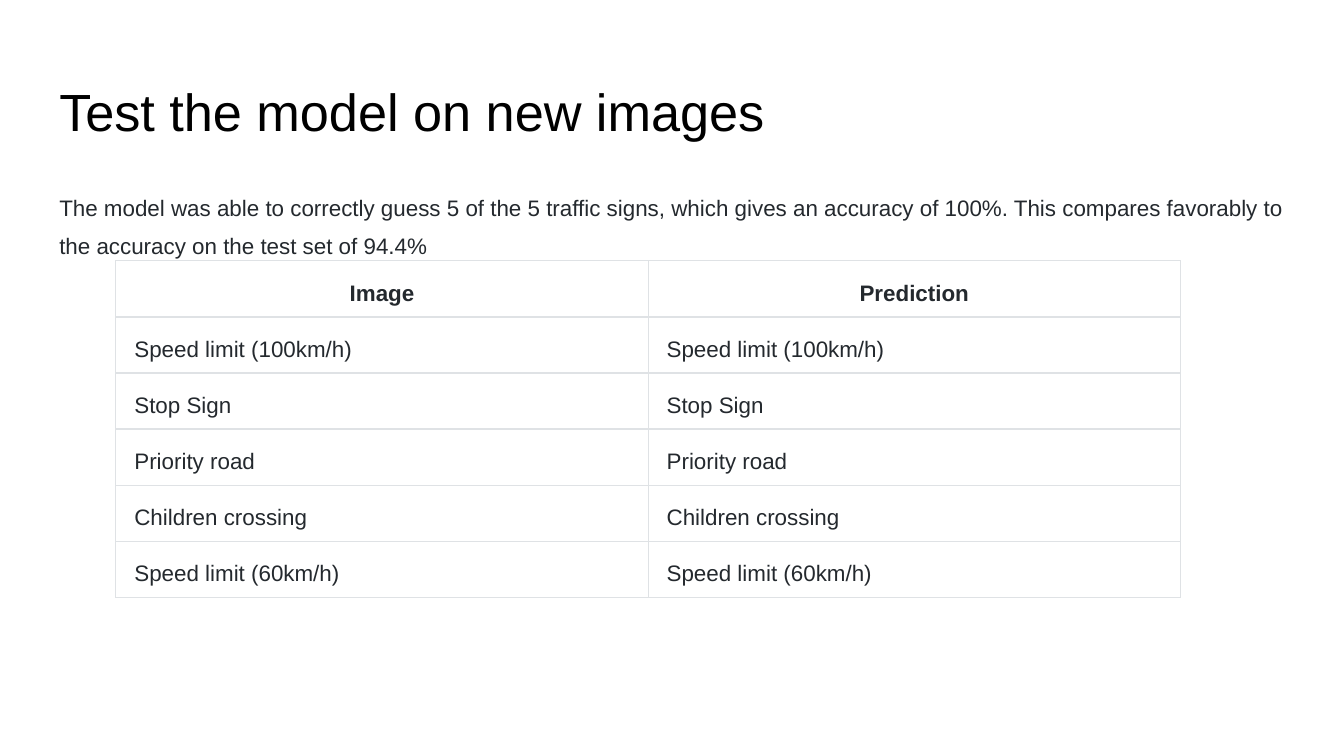
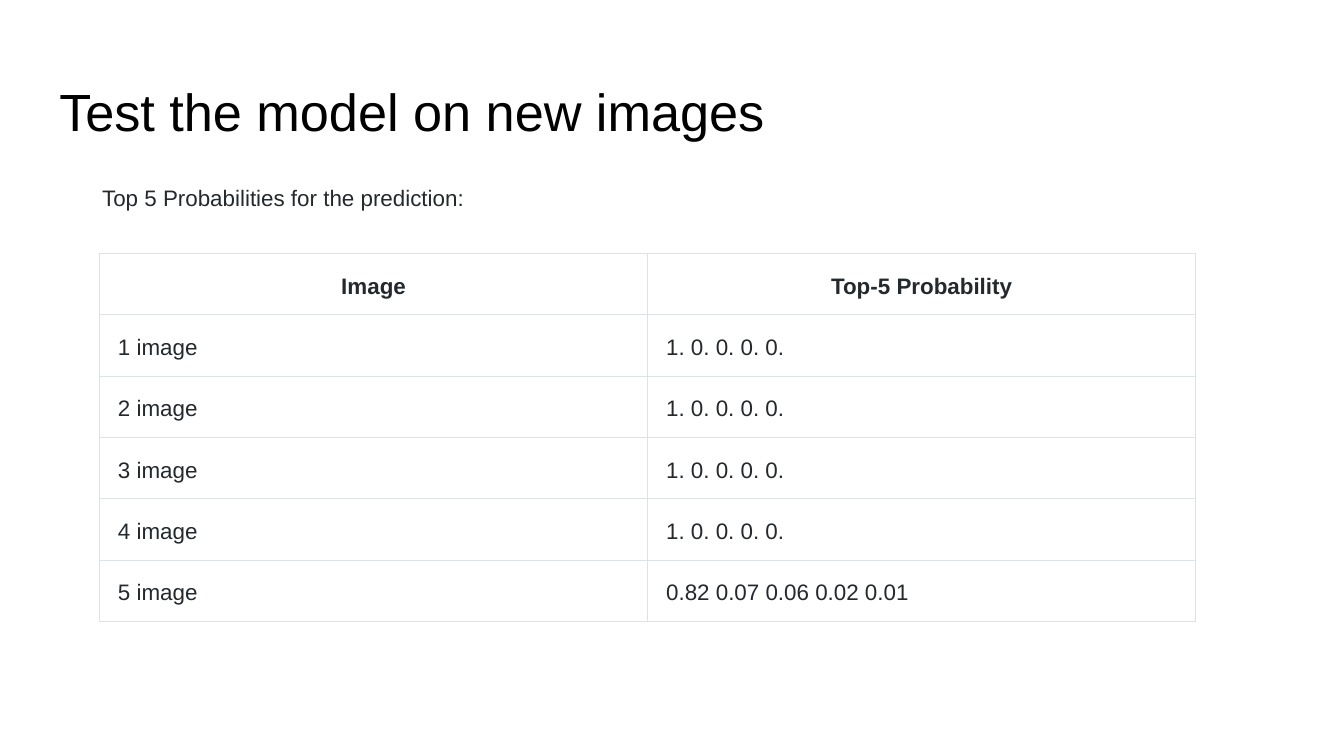
from dataclasses import dataclass

from lxml.etree import SubElement
from pptx import Presentation
from pptx.dml.color import RGBColor
from pptx.enum.text import MSO_ANCHOR as Anchor, MSO_AUTO_SIZE as AutoSize, PP_ALIGN as Align
from pptx.oxml.ns import qn
from pptx.util import Cm, Pt


@dataclass(frozen=True)
class Theme:
    font: str = "Arial"
    background: str = "FFFFFF"
    title_color: str = "000000"
    text_color: str = "24292E"
    border_color: str = "DFE2E5"
    title_size: float = 28
    text_size: float = 12
    border_width: float = 0.75
    line_spacing: float = 1.43
    space_after: float = 12
    text_inset: float = 0.25
    cell_inset_x: float = 0.35
    cell_inset_y: float = 0.18


THEME = Theme()
SLIDE_SIZE = (25.4, 14.29)
TITLE_BOX = (0.87, 1.24, 23.67, 1.59)
TITLE = "Test the model on new images"

SIGNS = [
    "Speed limit (100km/h)",
    "Stop Sign",
    "Priority road",
    "Children crossing",
    "Speed limit (60km/h)",
]
PROBABILITIES = ["1. 0. 0. 0. 0."] * 4 + ["0.82 0.07 0.06 0.02 0.01"]

SLIDES = [
    {
        "intro": "The model was able to correctly guess 5 of the 5 traffic signs, "
                 "which gives an accuracy of 100%. This compares favorably to the "
                 "accuracy on the test set of 94.4%",
        "intro_box": (0.87, 3.2, 23.67, 1.2),
        "intro_spacing": (1.43, 0, 0),
        "header": ("Image", "Prediction"),
        "rows": [(sign, sign) for sign in SIGNS],
        "table_corner": (2.19, 4.93),
        "column_width": 10.06,
        "row_height": 1.06,
    },
    {
        "intro": "Top 5 Probabilities for the prediction:",
        "intro_box": (1.68, 3.1, 17, 1.36),
        "intro_spacing": (1.25, 18, 12),
        "header": ("Image", "Top-5 Probability"),
        "rows": [(f"{number} image", values)
                 for number, values in enumerate(PROBABILITIES, 1)],
        "table_corner": (1.88, 4.79),
        "column_width": 10.36,
        "row_height": 1.16,
    },
]


def write(frame, text, size, color, spacing, align=Align.LEFT, bold=False):
    frame.text = text
    paragraph = frame.paragraphs[0]
    paragraph.alignment = align
    line, before, after = spacing
    paragraph.line_spacing = line
    paragraph.space_before = Pt(before)
    paragraph.space_after = Pt(after)
    for run in paragraph.runs:
        run.font.name = THEME.font
        run.font.size = Pt(size)
        run.font.bold = bold
        run.font.color.rgb = RGBColor.from_string(color)
    return paragraph


def fill_placeholder(placeholder, box, text, size, color, spacing):
    placeholder.left, placeholder.top, placeholder.width, placeholder.height = map(Cm, box)
    frame = placeholder.text_frame
    frame.word_wrap = True
    frame.auto_size = AutoSize.NONE
    frame.vertical_anchor = Anchor.TOP
    frame.margin_left = frame.margin_right = Cm(THEME.text_inset)
    frame.margin_top = frame.margin_bottom = Cm(THEME.text_inset)
    return write(frame, text, size, color, spacing)


def remove_bullet(paragraph):
    properties = paragraph._p.get_or_add_pPr()
    properties.set("marL", "0")
    properties.set("indent", "0")
    SubElement(properties, qn("a:buNone"))


def add_borders(cell):
    properties = cell._tc.get_or_add_tcPr()
    for side in ("a:lnL", "a:lnR", "a:lnT", "a:lnB"):
        line = SubElement(properties, qn(side), w=str(Pt(THEME.border_width)))
        solid = SubElement(line, qn("a:solidFill"))
        SubElement(solid, qn("a:srgbClr"), val=THEME.border_color)


def format_cell(cell, text, is_header):
    cell.margin_left = cell.margin_right = Cm(THEME.cell_inset_x)
    cell.margin_top = cell.margin_bottom = Cm(THEME.cell_inset_y)
    cell.vertical_anchor = Anchor.TOP
    write(cell.text_frame, text, THEME.text_size, THEME.text_color,
          (THEME.line_spacing, 0, THEME.space_after),
          Align.CENTER if is_header else Align.LEFT, is_header)
    add_borders(cell)
    cell.fill.background()


def add_results(slide, content):
    records = [content["header"], *content["rows"]]
    column_count = len(content["header"])
    left, top = map(Cm, content["table_corner"])
    column_width, row_height = Cm(content["column_width"]), Cm(content["row_height"])
    results = slide.shapes.add_table(
        len(records), column_count, left, top,
        column_width * column_count, row_height * len(records)).table
    results.first_row = results.horz_banding = False
    for column in results.columns:
        column.width = column_width
    for row_index, record in enumerate(records):
        results.rows[row_index].height = row_height
        for column_index, text in enumerate(record):
            format_cell(results.cell(row_index, column_index), text, row_index == 0)


def add_slide(deck, content):
    slide = deck.slides.add_slide(deck.slide_layouts[1])
    slide.background.fill.solid()
    slide.background.fill.fore_color.rgb = RGBColor.from_string(THEME.background)
    fill_placeholder(slide.shapes.title, TITLE_BOX, TITLE,
                     THEME.title_size, THEME.title_color, (1.0, 0, 0))
    intro = fill_placeholder(slide.placeholders[1], content["intro_box"], content["intro"],
                             THEME.text_size, THEME.text_color, content["intro_spacing"])
    remove_bullet(intro)
    add_results(slide, content)


def main():
    deck = Presentation()
    deck.slide_width, deck.slide_height = map(Cm, SLIDE_SIZE)
    for content in SLIDES:
        add_slide(deck, content)
    deck.save("out.pptx")


if __name__ == "__main__":
    main()
